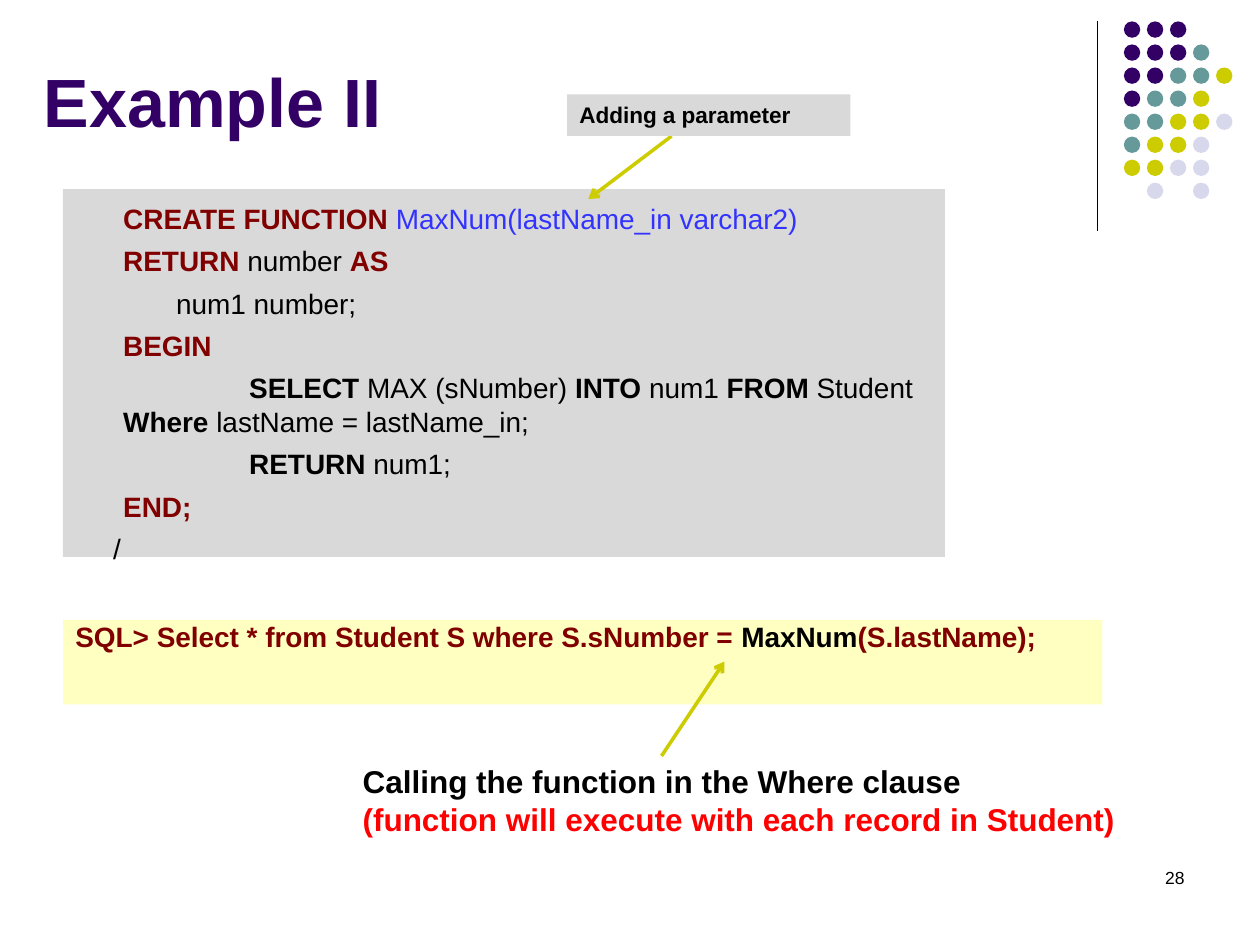
from lxml import etree
from pptx import Presentation
from pptx import util as u
from pptx.dml.color import RGBColor
from pptx.enum import shapes, text
from pptx.oxml.ns import qn

THEME = {
    "font": "Arial",
    "colors": {
        "purple": "330066", "teal": "669999", "olive": "CCCC00", "lavender": "D8D8EC",
        "black": "000000", "maroon": "800000", "blue": "3333FF", "red": "FF0000",
        "grey": "D9D9D9", "cream": "FFFFC2",
    },
    "sizes": {"title": 39, "code": 16, "call": 18, "label": 12.9, "number": 10},
}
COLORS = {name: RGBColor.from_string(code) for name, code in THEME["colors"].items()}

prs = Presentation()
prs.slide_width, prs.slide_height = u.Inches(10), u.Inches(7.5)
s = prs.slides.add_slide(prs.slide_layouts[6])


def add_text(box, size, paragraphs, fill=None, frame=None, para=None):
    place = [u.Inches(v) for v in box]
    if fill:
        sp = s.shapes.add_shape(shapes.MSO_SHAPE.RECTANGLE, *place)
        sp.shadow.inherit = False
        sp.fill.solid()
        sp.fill.fore_color.rgb = COLORS[fill]
        sp.line.fill.background()
    else:
        sp = s.shapes.add_textbox(*place)
    tf = sp.text_frame
    frame_format = {"word_wrap": True, "vertical_anchor": text.MSO_ANCHOR.TOP}
    for name, value in (frame_format | (frame or {})).items():
        setattr(tf, name, value)
    for i, (first, hang, runs) in enumerate(paragraphs):
        p = tf.paragraphs[0] if i == 0 else tf.add_paragraph()
        para_format = {"alignment": text.PP_ALIGN.LEFT} | (para or {})
        if i == 0:
            para_format["space_before"] = u.Pt(0)
        for name, value in para_format.items():
            setattr(p, name, value)
        pPr = p._p.get_or_add_pPr()
        pPr.set("marL", str(u.Inches(hang)))
        pPr.set("indent", str(u.Inches(first - hang)))
        for words, color, bold in runs:
            r = p.add_run()
            r.text = words
            r.font.color.rgb = COLORS[color]
            font_format = {"name": THEME["font"], "size": u.Pt(THEME["sizes"][size]), "bold": bold}
            for name, value in font_format.items():
                setattr(r.font, name, value)


def add_line(start, end, color, width, arrow=False):
    ends = [u.Inches(v) for v in (*start, *end)]
    cn = s.shapes.add_connector(shapes.MSO_CONNECTOR.STRAIGHT, *ends)
    cn.line.color.rgb = COLORS[color]
    cn.line.width = u.Pt(width)
    if arrow:
        etree.SubElement(cn.line._get_or_add_ln(), qn("a:tailEnd"), type="arrow")
    etree.SubElement(cn._element.spPr, qn("a:effectLst"))


add_line((8.71, 0.17), (8.71, 1.83), "black", 0.75)

dot_colors = {"P": "purple", "T": "teal", "O": "olive", "L": "lavender"}
dot_rows = ["PPP", "PPPT", "PPTTO", "PTTO", "TTOOL", "TOOL", "OOLL", ".L.L"]
pitch = 1.28 / 7
for row, marks in enumerate(dot_rows):
    for col, mark in enumerate(marks):
        if mark in dot_colors:
            sp = s.shapes.add_shape(
                shapes.MSO_SHAPE.OVAL, u.Inches(8.92 + col * pitch),
                u.Inches(0.17 + row * pitch), u.Inches(0.13), u.Inches(0.13))
            sp.shadow.inherit = False
            sp.fill.solid()
            sp.fill.fore_color.rgb = COLORS[dot_colors[mark]]
            sp.line.fill.background()

add_text((0.25, 0.17, 8.25, 1), "title", [(0, 0, [("Example II", "purple", True)])],
         frame={"vertical_anchor": text.MSO_ANCHOR.BOTTOM})

margin, statement = 0.38, 1.38
code = [
    (margin, margin, [("CREATE FUNCTION ", "maroon", True),
                      ("MaxNum(lastName_in varchar2)", "blue", False)]),
    (margin, margin, [("RETURN", "maroon", True), (" number ", "black", False),
                      ("AS", "maroon", True)]),
    (0.8, margin, [("num1 number;", "black", False)]),
    (margin, margin, [("BEGIN", "maroon", True)]),
    (statement, margin, [("SELECT", "black", True), (" MAX (sNumber) ", "black", False),
                         ("INTO", "black", True), (" num1 ", "black", False),
                         ("FROM", "black", True), (" Student ", "black", False),
                         ("Where", "black", True),
                         (" lastName = lastName_in;", "black", False)]),
    (statement, margin, [("RETURN", "black", True), (" num1;", "black", False)]),
    (margin, margin, [("END;", "maroon", True)]),
    (0.3, margin, [("/", "black", False)]),
]
add_text((0.5, 1.5, 7, 2.92), "code", code, "grey",
         frame={"margin_top": u.Inches(0.1)}, para={"space_before": u.Pt(5)})

query = [("SQL> Select * from Student S where S.sNumber = ", "maroon", True),
         ("MaxNum", "black", True), ("(S.lastName);", "maroon", True)]
add_text((0.5, 4.92, 8.25, 0.67), "code", [(0, margin, query)], "cream",
         para={"line_spacing": 0.8})
add_line((5.25, 6), (5.75, 5.25), "olive", 2, arrow=True)

add_text((2.78, 6, 6.17, 0.7), "call", [
    (0, 0, [("Calling the function in the Where clause", "black", True)]),
    (0, 0, [("(function will execute with each record in Student)", "red", True)]),
], frame={"word_wrap": False, "auto_size": text.MSO_AUTO_SIZE.SHAPE_TO_FIT_TEXT})

add_line((5.33, 1.08), (4.67, 1.58), "olive", 2, arrow=True)
add_text((4.5, 0.75, 2.25, 0.33), "label",
         [(0, 0, [("Adding a parameter", "black", True)])], "grey")

add_text((7.17, 6.83, 2.33, 0.5), "number", [(0, 0, [("28", "black", False)])],
         para={"alignment": text.PP_ALIGN.RIGHT})

prs.save("out.pptx")
